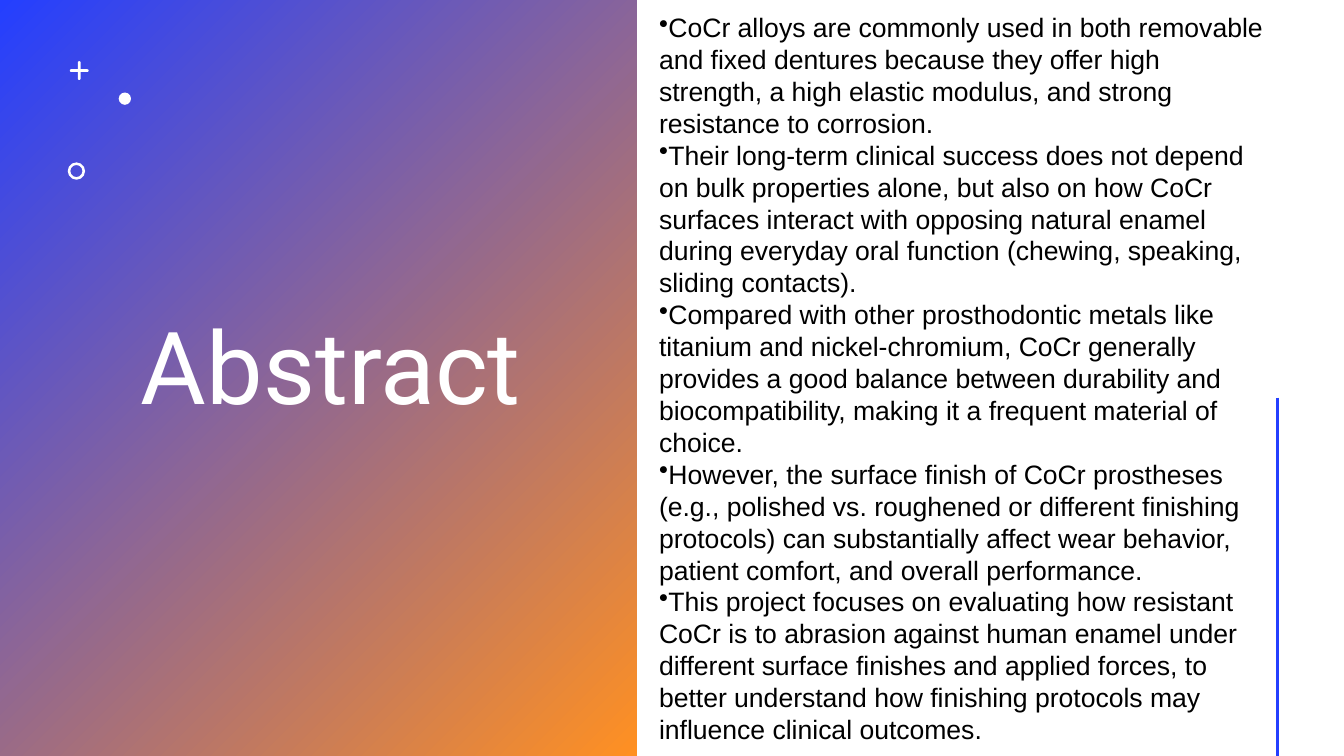
import math
from lxml import etree
from pptx import Presentation
from pptx.dml.color import RGBColor
from pptx.enum import shapes, text
from pptx.oxml import ns
from pptx.util import Pt

TITLE = "Abstract"
POINTS = [
    "CoCr alloys are commonly used in both removable and fixed dentures because they offer high "
    "strength, a high elastic modulus, and strong resistance to corrosion.",
    "Their long-term clinical success does not depend on bulk properties alone, but also on how "
    "CoCr surfaces interact with opposing natural enamel during everyday oral function "
    "(chewing, speaking, sliding contacts).",
    "Compared with other prosthodontic metals like titanium and nickel-chromium, CoCr generally "
    "provides a good balance between durability and biocompatibility, making it a frequent "
    "material of choice.",
    "However, the surface finish of CoCr prostheses (e.g., polished vs. roughened or different "
    "finishing protocols) can substantially affect wear behavior, patient comfort, and overall "
    "performance.",
    "This project focuses on evaluating how resistant CoCr is to abrasion against human enamel "
    "under different surface finishes and applied forces, to better understand how finishing "
    "protocols may influence clinical outcomes.",
]

THEME = {
    "blue": RGBColor(0x24, 0x3F, 0xFF),
    "orange": RGBColor(0xFF, 0x90, 0x22),
    "white": RGBColor(0xFF, 0xFF, 0xFF),
    "black": RGBColor(0, 0, 0),
    "title": {"name": "Roboto", "size": Pt(72)},
    "body": {"name": "Arial", "size": Pt(19)},
}

WIDTH, HEIGHT = 960, 540
PANEL = (0, 0, 455, HEIGHT)
TITLE_BOX = (93.6, 30.25, 315.4, 470)
BODY_BOX = (463.7, 0, 446.4, HEIGHT)
DOT = (84.8, 66.1, 8.8, 8.8)
RING = (48.4, 116, 12.4, 12.4)
PLUS_CENTRE, PLUS_REACH, PLUS_HALF = (56.6, 50.4), 6.7, 0.95
RULE_X, RULE_TOP = 912.5, 284


def set_all(target, values):
    for name, value in values.items():
        setattr(target, name, value)


def add_plain(page, kind, place):
    shape = page.shapes.add_shape(kind, *map(Pt, place))
    finish(shape)
    return shape


def finish(shape):
    """White fill, no outline and no shadow."""
    shape.shadow.inherit = False
    shape.line.fill.background()
    shape.fill.solid()
    shape.fill.fore_color.rgb = THEME["white"]


def add_plus(page):
    """Cross whose four arms end in half circles."""
    outline = []
    for quarter in range(4):
        turn = quarter * math.pi / 2
        arm = [(PLUS_HALF, -PLUS_HALF)]
        for step in range(9):
            angle = -math.pi / 2 + step * math.pi / 8
            arm.append((PLUS_REACH - PLUS_HALF + PLUS_HALF * math.cos(angle),
                        PLUS_HALF * math.sin(angle)))
        for x, y in arm:
            outline.append((
                Pt(PLUS_CENTRE[0] + x * math.cos(turn) - y * math.sin(turn)),
                Pt(PLUS_CENTRE[1] + x * math.sin(turn) + y * math.cos(turn))))
    builder = page.shapes.build_freeform(*outline[0], scale=1.0)
    builder.add_line_segments(outline[1:], close=True)
    finish(builder.convert_to_shape())


def add_text(page, place, lines, font, color, spacing, bullet=None):
    box = page.shapes.add_textbox(*map(Pt, place))
    frame = box.text_frame
    set_all(frame, {"word_wrap": True, "vertical_anchor": text.MSO_ANCHOR.MIDDLE})
    for index, line in enumerate(lines):
        para = frame.paragraphs[0] if index == 0 else frame.add_paragraph()
        set_all(para, {"line_spacing": spacing, "alignment": text.PP_ALIGN.LEFT})
        if bullet:
            properties = para._p.get_or_add_pPr()
            properties.set("marL", "0")
            properties.set("indent", "0")
            etree.SubElement(properties, ns.qn("a:buChar"), char=bullet)
        span = para.add_run()
        span.text = line
        set_all(span.font, font)
        span.font.color.rgb = color


def add_panel(page):
    panel = add_plain(page, shapes.MSO_SHAPE.RECTANGLE, PANEL)
    panel.fill.gradient()
    panel.fill.gradient_angle = 315
    for stop, position, name in zip(panel.fill.gradient_stops, (0, 1), ("blue", "orange")):
        stop.position = position
        stop.color.rgb = THEME[name]


def add_rule(page):
    rule = page.shapes.add_connector(
        shapes.MSO_CONNECTOR.STRAIGHT, Pt(RULE_X), Pt(RULE_TOP), Pt(RULE_X), Pt(HEIGHT))
    rule.line.color.rgb = THEME["blue"]
    rule.line.width = Pt(2)
    etree.SubElement(rule._element.spPr, ns.qn("a:effectLst"))


def main():
    deck = Presentation()
    set_all(deck, {"slide_width": Pt(WIDTH), "slide_height": Pt(HEIGHT)})
    page = deck.slides.add_slide(deck.slide_layouts[6])
    add_panel(page)
    add_text(page, TITLE_BOX, [TITLE], THEME["title"], THEME["white"], 0.9)
    add_plus(page)
    add_plain(page, shapes.MSO_SHAPE.OVAL, DOT)
    ring = add_plain(page, shapes.MSO_SHAPE.DONUT, RING)
    ring.adjustments[0] = 0.15
    add_rule(page)
    add_text(page, BODY_BOX, POINTS, THEME["body"], THEME["black"], Pt(22.8), "•")
    deck.save("out.pptx")


if __name__ == "__main__":
    main()
